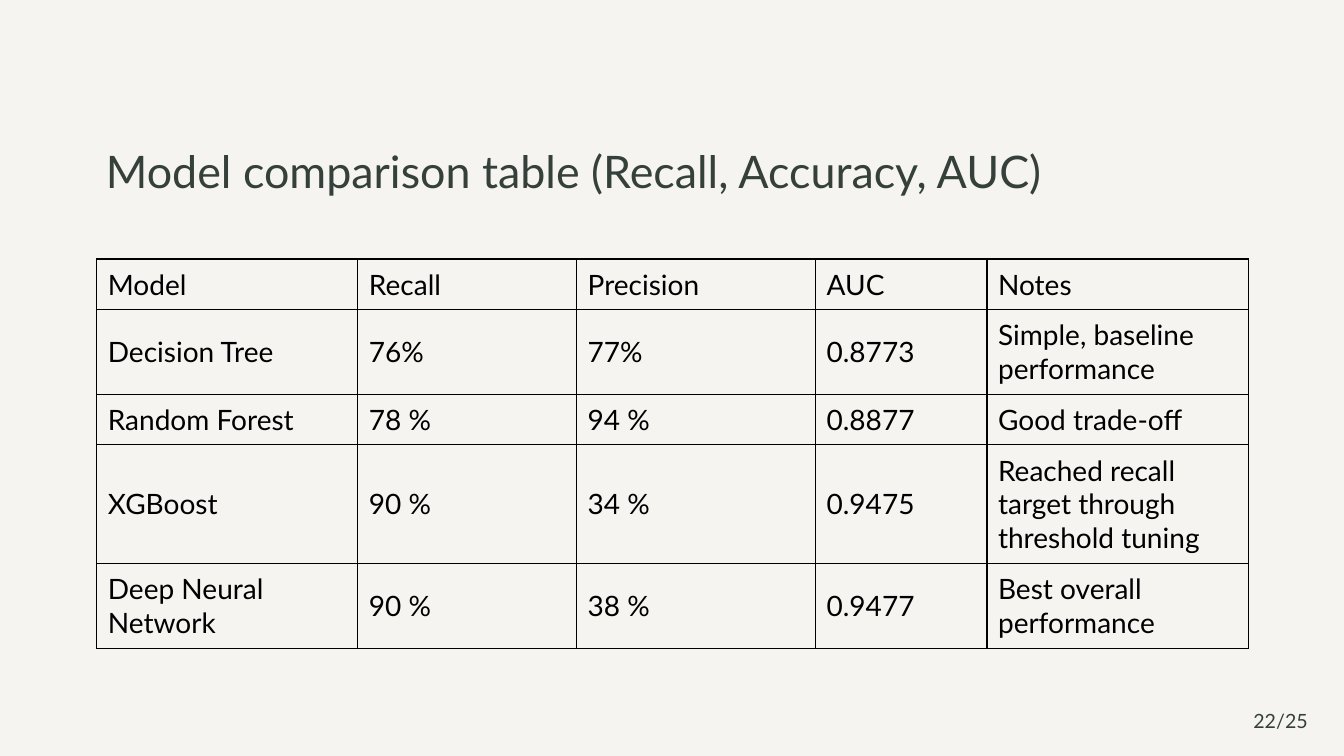
import pptx
import pptx.dml.color
import pptx.enum.text
import pptx.oxml
import pptx.oxml.ns
import pptx.util

RGBColor = pptx.dml.color.RGBColor
Inches = pptx.util.Inches
Pt = pptx.util.Pt
ANCHOR = pptx.enum.text.MSO_ANCHOR
ALIGN = pptx.enum.text.PP_ALIGN

PAPER = RGBColor(0xF5, 0xF4, 0xF1)
SLATE = RGBColor(0x35, 0x40, 0x3A)
BLACK = RGBColor(0, 0, 0)

COLUMNS = [2.59, 2.17, 2.37, 1.7, 2.59]
HEIGHTS = [0.5, 0.84, 0.5, 1.18, 0.84]
ROWS = [
    ["Model", "Recall", "Precision", "AUC", "Notes"],
    ["Decision Tree", "76%", "77%", "0.8773", "Simple, baseline performance"],
    ["Random Forest", "78 %", "94 %", "0.8877", "Good trade-off"],
    ["XGBoost", "90 %", "34 %", "0.9475",
     "Reached recall target through threshold tuning"],
    ["Deep Neural Network", "90 %", "38 %", "0.9477", "Best overall performance"],
]


def write(tf, text, size, color=SLATE, align=ALIGN.LEFT):
    tf.word_wrap = True
    p = tf.paragraphs[0]
    p.alignment = align
    r = p.add_run()
    r.text = text
    r.font.name = "Lato"
    r.font.size = Pt(size)
    r.font.color.rgb = color


def add_borders(cell):
    """Draw a 1 pt black line on each side; lines precede the fill in tcPr."""
    tcPr = cell._tc.get_or_add_tcPr()
    for i, side in enumerate(["lnL", "lnR", "lnT", "lnB"]):
        tcPr.insert(i, pptx.oxml.parse_xml(
            f'<a:{side} {pptx.oxml.ns.nsdecls("a")} w="{Pt(1)}"><a:solidFill>'
            f'<a:srgbClr val="{BLACK}"/></a:solidFill></a:{side}>'))


prs = pptx.Presentation()
prs.slide_width = Inches(13.33)
prs.slide_height = Inches(7.5)
s = prs.slides.add_slide(prs.slide_layouts[5])
s.background.fill.solid()
s.background.fill.fore_color.rgb = PAPER

title = s.shapes.title
title.left, title.top = Inches(0.95), Inches(0.64)
title.width, title.height = Inches(11.43), Inches(1.38)
tf = title.text_frame
tf.auto_size = pptx.enum.text.MSO_AUTO_SIZE.NONE
tf.vertical_anchor = ANCHOR.BOTTOM
write(tf, "Model comparison table (Recall, Accuracy, AUC)", 32)
tf.paragraphs[0].line_spacing = 0.9

table = s.shapes.add_table(
    len(ROWS), len(COLUMNS), Inches(0.96), Inches(2.57),
    Inches(sum(COLUMNS)), Inches(sum(HEIGHTS))).table
table.first_row = False
table.horz_banding = False
for column, width in zip(table.columns, COLUMNS):
    column.width = Inches(width)
for row, height, texts in zip(table.rows, HEIGHTS, ROWS):
    row.height = Inches(height)
    for cell, text in zip(row.cells, texts):
        cell.fill.background()
        cell.vertical_anchor = ANCHOR.MIDDLE
        cell.margin_left = cell.margin_right = Inches(0.11)
        cell.margin_top = cell.margin_bottom = Inches(0.06)
        write(cell.text_frame, text, 20, color=BLACK)
        add_borders(cell)

number = s.shapes.add_textbox(Inches(12.26), Inches(6.95), Inches(0.81), Inches(0.4))
number.text_frame.vertical_anchor = ANCHOR.MIDDLE
write(number.text_frame, "22/25", 14, align=ALIGN.RIGHT)

prs.save("out.pptx")
